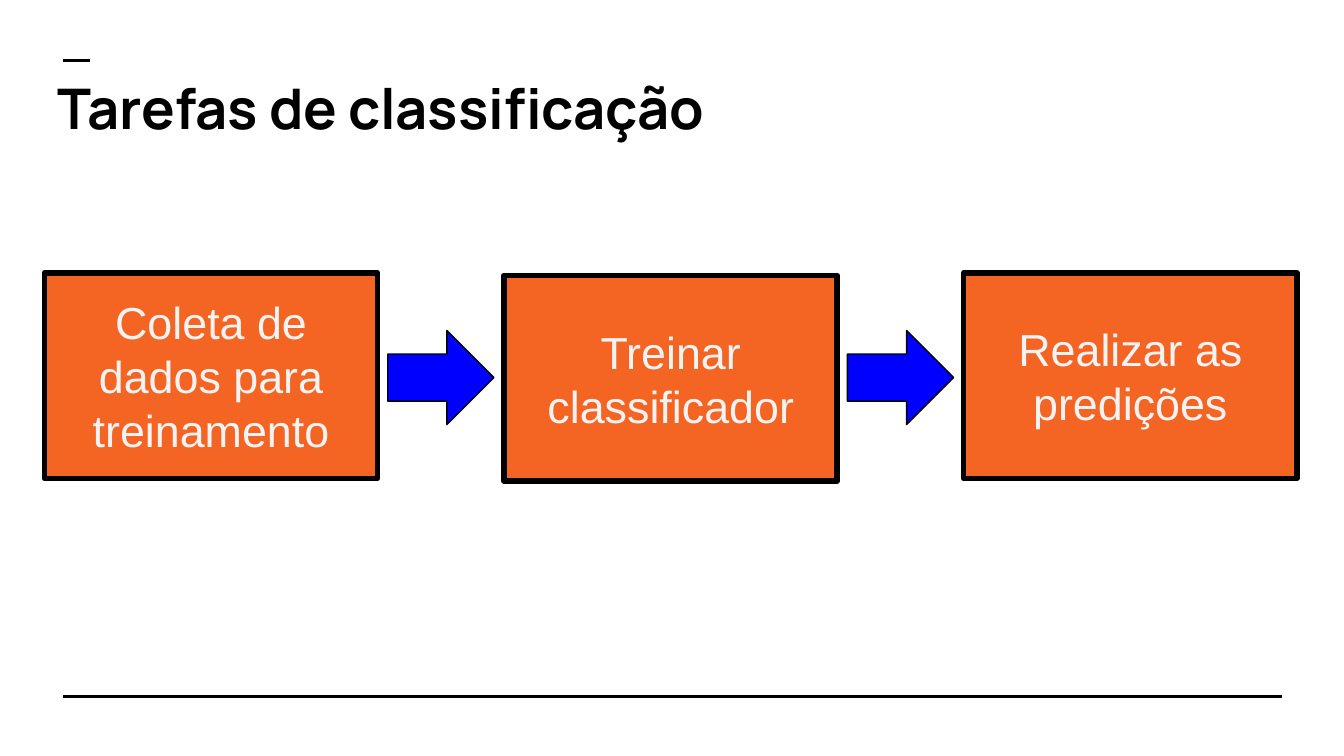
from lxml import etree
from pptx import Presentation, util as u
from pptx.dml.color import RGBColor
from pptx.enum import shapes, text
from pptx.oxml.ns import qn

WIDTH = 10
HEIGHT = WIDTH * 9 / 16
STEPS = ["Coleta de dados para treinamento", "Treinar classificador", "Realizar as predições"]

# Flow grid: one column per step, with an arrow in each gap
LEFT, PITCH = 0.33, 3.42
BOX_WIDTH, BOX_HEIGHT = 2.48, 1.53
BOX_TOP, MIDDLE_DROP = 2.03, 0.02
ARROW_TOP, ARROW_WIDTH, ARROW_HEIGHT = 2.46, 0.79, 0.7
ARROW_OFFSET = (PITCH + BOX_WIDTH - ARROW_WIDTH) / 2


def color(value):
    return RGBColor.from_string(value)


def inches(*lengths):
    return [u.Inches(length) for length in lengths]


def write(shape, content, font_name, size, font_color, bold=False):
    frame = shape.text_frame
    frame.text = content
    frame.word_wrap = True
    frame.vertical_anchor = text.MSO_ANCHOR.MIDDLE
    frame.margin_left = frame.margin_right = u.Inches(0.1)
    frame.margin_top = frame.margin_bottom = u.Inches(0.1)
    paragraph = frame.paragraphs[0]
    font = paragraph.runs[0].font
    font.name, font.size, font.bold = font_name, u.Pt(size), bold
    font.color.rgb = color(font_color)
    return paragraph


def add_rule(slide, left, right, top):
    rule = slide.shapes.add_connector(
        shapes.MSO_CONNECTOR.STRAIGHT, *inches(left, top, right, top))
    rule.line.color.rgb = color("000000")
    rule.line.width = u.Pt(1.5)
    etree.SubElement(rule._element.spPr, qn("a:effectLst"))


def add_title(slide, content):
    title = slide.shapes.add_textbox(*inches(LEFT, 0.45, 9.32, 0.7))
    write(title, content, "Manrope", 30, "000000", bold=True)


def add_block(slide, kind, bounds, fill, line_width):
    block = slide.shapes.add_shape(kind, *inches(*bounds))
    block.shadow.inherit = False
    block.fill.solid()
    block.fill.fore_color.rgb = color(fill)
    block.line.color.rgb = color("000000")
    block.line.width = u.Pt(line_width)
    return block


def add_step(slide, column, content):
    top = BOX_TOP + MIDDLE_DROP * (column % 2)
    bounds = (LEFT + column * PITCH, top, BOX_WIDTH, BOX_HEIGHT)
    box = add_block(slide, shapes.MSO_SHAPE.RECTANGLE, bounds, "F46524", 3)
    paragraph = write(box, content, "Arial", 24, "F3F3F3")
    paragraph.alignment = text.PP_ALIGN.CENTER


def add_arrow(slide, column):
    bounds = (LEFT + column * PITCH + ARROW_OFFSET, ARROW_TOP, ARROW_WIDTH, ARROW_HEIGHT)
    add_block(slide, shapes.MSO_SHAPE.RIGHT_ARROW, bounds, "0000FF", 0.75)


def main():
    presentation = Presentation()
    presentation.slide_width, presentation.slide_height = inches(WIDTH, HEIGHT)
    slide = presentation.slides.add_slide(presentation.slide_layouts[6])

    # Rules and title
    add_rule(slide, 0.47, 9.54, 5.18)
    add_rule(slide, 0.47, 0.67, 0.45)
    add_title(slide, "Tarefas de classificação")

    # Process flow
    for column, content in enumerate(STEPS):
        add_step(slide, column, content)
    for column in range(len(STEPS) - 1):
        add_arrow(slide, column)

    presentation.save("out.pptx")


if __name__ == "__main__":
    main()
